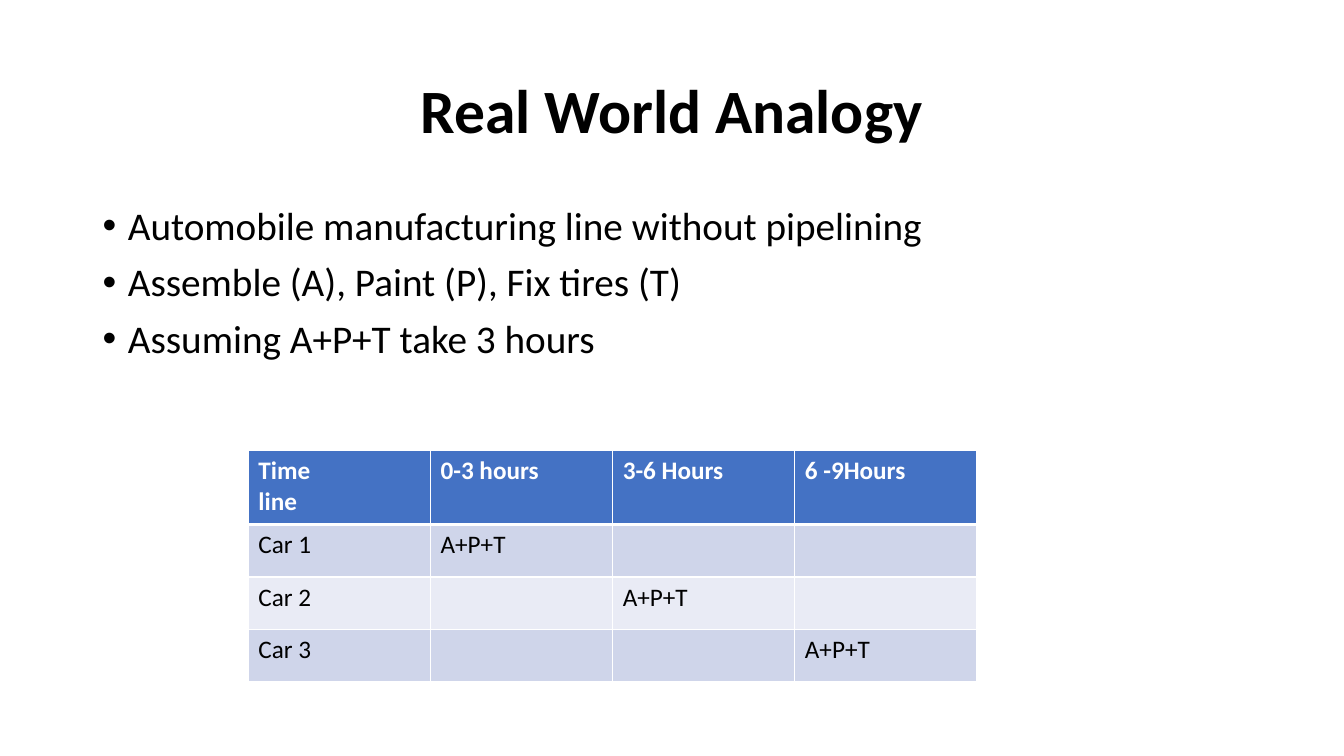
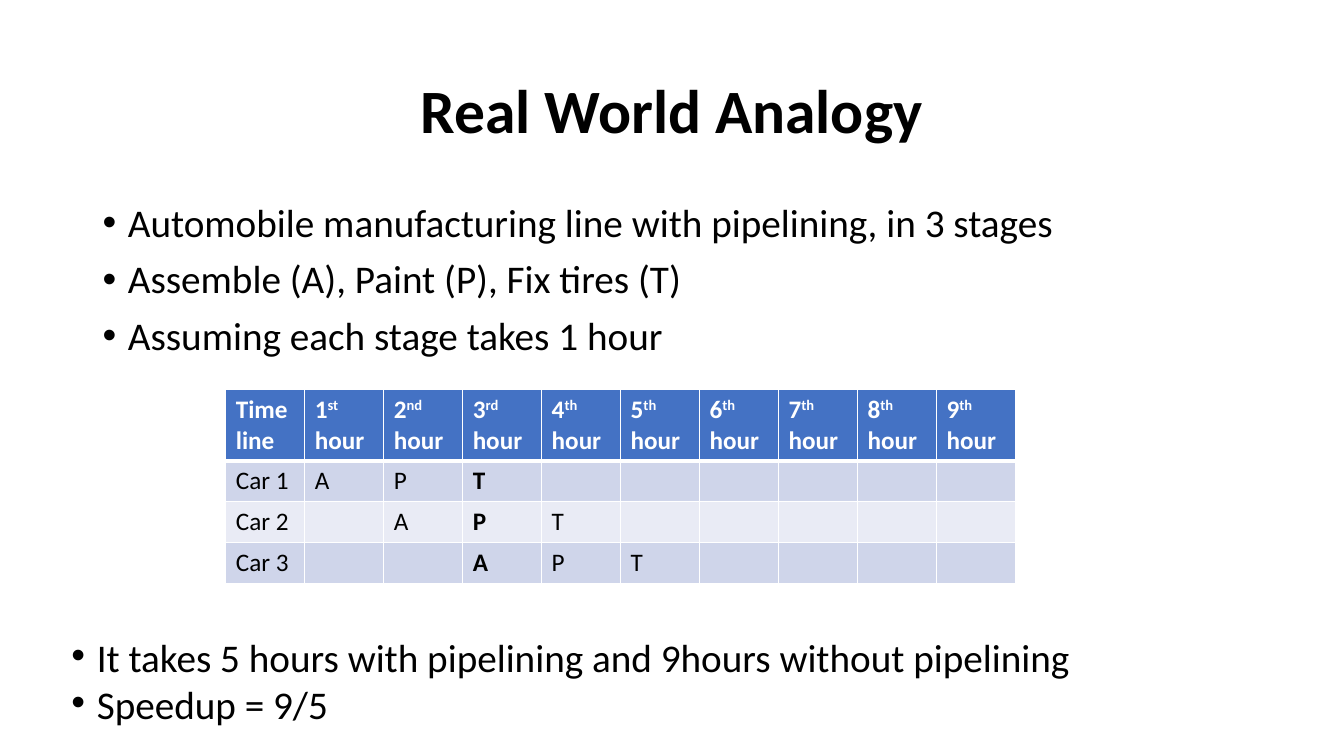
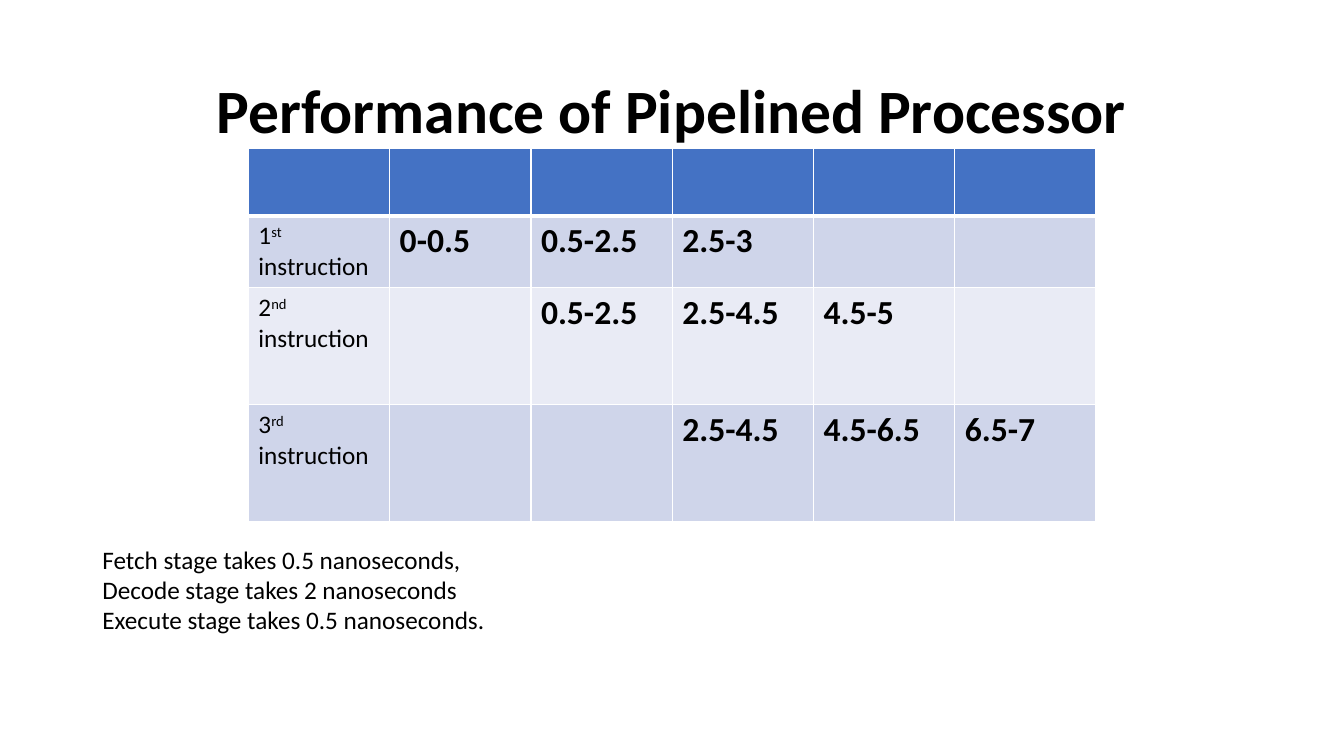
"""Build three slides that explain pipelining with timetables."""
from dataclasses import dataclass

from lxml import etree
from pptx import Presentation
from pptx import util as u
from pptx.dml.color import RGBColor
from pptx.enum import text
from pptx.oxml import ns


@dataclass(frozen=True)
class Theme:
    font: str = "Calibri"
    ink: str = "000000"
    paper: str = "FFFFFF"
    header: str = "4472C4"
    bands: tuple[str, str] = ("CFD5EA", "E9EBF5")
    title_size: int = 44
    list_size: int = 28
    strong_size: int = 24
    table_size: int = 18
    thin: int = 1
    thick: int = 3


@dataclass(frozen=True)
class Box:
    left: float
    top: float
    width: float
    height: float

    def lengths(self) -> tuple[u.Cm, u.Cm, u.Cm, u.Cm]:
        return u.Cm(self.left), u.Cm(self.top), u.Cm(self.width), u.Cm(self.height)


@dataclass(frozen=True)
class Timetable:
    left: float
    top: float
    column_width: float
    row_heights: tuple[float, ...]
    header: tuple[str, ...]
    rows: tuple[tuple[str, ...], ...]
    strong_columns: tuple[int, ...] = ()
    strong_size: int = 18


THEME = Theme()
TITLE_BOX = Box(2.33, 1.01, 29.21, 3.68)
TITLE_AND_LIST, TITLE_ONLY = 1, 5
ORDINALS = ("st", "nd", "rd") + ("th",) * 6


def ordinal(number: int, noun: str) -> str:
    """Return an ordinal label whose raised part stands between carets."""
    return f"{number}^{ORDINALS[number - 1]} ^{noun}"


def style_font(font, size: int, color: str, bold: bool = False) -> None:
    """Apply the shared typeface with a size, colour and weight."""
    font.name = THEME.font
    font.size = u.Pt(size)
    font.bold = bold
    font.color.rgb = RGBColor.from_string(color)


def add_title(slide, wording: str) -> None:
    """Place and format the title placeholder."""
    title = slide.shapes.title
    title.left, title.top, title.width, title.height = TITLE_BOX.lengths()
    frame = title.text_frame
    frame.text = wording
    frame.vertical_anchor = text.MSO_ANCHOR.MIDDLE
    heading = frame.paragraphs[0]
    heading.alignment = text.PP_ALIGN.CENTER
    heading.line_spacing = 0.9
    style_font(heading.runs[0].font, THEME.title_size, THEME.ink, True)


def fill_list(frame, points: tuple[str, ...], line_spacing: float) -> None:
    """Write bulleted points into a text frame."""
    frame.text = "\n".join(points)
    frame.word_wrap = True
    frame.auto_size = text.MSO_AUTO_SIZE.NONE
    for index, point in enumerate(frame.paragraphs):
        properties = point._p.get_or_add_pPr()
        properties.set("marL", str(u.Cm(0.64)))
        properties.set("indent", str(-u.Cm(0.64)))
        etree.SubElement(properties, ns.qn("a:buFont"), typeface="Arial")
        etree.SubElement(properties, ns.qn("a:buChar"), char="•")
        point.alignment = text.PP_ALIGN.LEFT
        point.line_spacing = line_spacing
        point.space_before = u.Pt(10 if index else 0)
        style_font(point.runs[0].font, THEME.list_size, THEME.ink)


def add_body(slide, box: Box, points: tuple[str, ...]) -> None:
    """Place the body placeholder and fill it with points."""
    body = slide.placeholders[1]
    body.left, body.top, body.width, body.height = box.lengths()
    fill_list(body.text_frame, points, 0.9)


def set_borders(cell, top: int, bottom: int) -> None:
    """Draw the four borders of a table cell."""
    properties = cell._tc.get_or_add_tcPr()
    widths = {"lnL": THEME.thin, "lnR": THEME.thin, "lnT": top, "lnB": bottom}
    for side, width in widths.items():
        line = etree.SubElement(properties, ns.qn(f"a:{side}"), w=str(u.Pt(width)))
        fill = etree.SubElement(line, ns.qn("a:solidFill"))
        etree.SubElement(fill, ns.qn("a:srgbClr"), val=THEME.paper)


def write_cell(cell, wording: str, size: int, color: str, bold: bool) -> None:
    """Write a cell, raising the parts that stand between carets."""
    lines = wording.split("\n")
    cell.text_frame.text = "\n" * (len(lines) - 1)
    for paragraph, line in zip(cell.text_frame.paragraphs, lines):
        for index, part in enumerate(line.split("^")):
            if part:
                run = paragraph.add_run()
                run.text = part
                style_font(run.font, size, color, bold)
                if index % 2:
                    run.font._element.set("baseline", "30000")


def add_timetable(slide, plan: Timetable) -> None:
    """Draw a banded timetable."""
    count = len(plan.header)
    box = Box(plan.left, plan.top, plan.column_width * count, sum(plan.row_heights))
    table = slide.shapes.add_table(len(plan.row_heights), count, *box.lengths()).table
    for column in table.columns:
        column.width = u.Cm(plan.column_width)
    for row, height in zip(table.rows, plan.row_heights):
        row.height = u.Cm(height)
    for r, entries in enumerate((plan.header, *plan.rows)):
        is_header = r == 0
        fill = THEME.header if is_header else THEME.bands[(r - 1) % 2]
        color = THEME.paper if is_header else THEME.ink
        for c in range(count):
            cell = table.cell(r, c)
            set_borders(cell, THEME.thick if r == 1 else THEME.thin,
                        THEME.thick if is_header else THEME.thin)
            cell.fill.solid()
            cell.fill.fore_color.rgb = RGBColor.from_string(fill)
            strong = not is_header and c in plan.strong_columns
            size = plan.strong_size if strong else THEME.table_size
            wording = entries[c] if c < len(entries) else ""
            write_cell(cell, wording, size, color, is_header or strong)


def add_conclusion(slide, box: Box, points: tuple[str, ...]) -> None:
    """Add the closing points below a timetable."""
    frame = slide.shapes.add_textbox(*box.lengths()).text_frame
    frame.margin_top = u.Cm(1.95)
    fill_list(frame, points, 0.7)


def add_stage_times(slide, box: Box, lines: tuple[str, ...]) -> None:
    """Add plain lines that state how long each stage takes."""
    frame = slide.shapes.add_textbox(*box.lengths()).text_frame
    frame.word_wrap = True
    frame.auto_size = text.MSO_AUTO_SIZE.SHAPE_TO_FIT_TEXT
    frame.text = "\n".join(lines)
    for line in frame.paragraphs:
        style_font(line.runs[0].font, THEME.table_size, THEME.ink)


def add_slide(deck, layout: int, title: str):
    """Add a slide with its title."""
    slide = deck.slides.add_slide(deck.slide_layouts[layout])
    add_title(slide, title)
    return slide


def build_sequential(deck) -> None:
    """Build the slide on manufacturing without pipelining."""
    slide = add_slide(deck, TITLE_AND_LIST, "Real World Analogy")
    add_body(slide, Box(2.33, 5.08, 29.21, 12.09), (
        "Automobile manufacturing line without pipelining",
        "Assemble (A), Paint (P), Fix tires (T)",
        "Assuming A+P+T take 3 hours",
    ))
    add_timetable(slide, Timetable(
        6.26, 11.35, 4.59, (1.87, 1.32, 1.32, 1.32),
        ("Time\nline", "0-3 hours", "3-6 Hours", "6 -9Hours"),
        (("Car 1", "A+P+T"), ("Car 2", "", "A+P+T"), ("Car 3", "", "", "A+P+T")),
    ))


def build_pipelined(deck) -> None:
    """Build the slide on manufacturing with pipelining."""
    slide = add_slide(deck, TITLE_AND_LIST, "Real World Analogy")
    add_body(slide, Box(2.33, 5.0, 29.21, 9.04), (
        "Automobile manufacturing line with pipelining, in 3 stages",
        "Assemble (A), Paint (P), Fix tires (T)",
        "Assuming each stage takes 1 hour",
    ))
    add_timetable(slide, Timetable(
        5.69, 9.81, 1.99, (1.79, 1.03, 1.03, 1.03),
        ("Time line", *(ordinal(n, "hour") for n in range(1, 10))),
        tuple((f"Car {n}", *("",) * (n - 1), "A", "P", "T") for n in range(1, 4)),
        strong_columns=(3,),
    ))
    add_conclusion(slide, Box(1.55, 14.33, 29.21, 4.24), (
        "It takes 5 hours with pipelining and 9hours without pipelining",
        "Speedup = 9/5",
    ))


def build_performance(deck) -> None:
    """Build the slide on processor performance."""
    slide = add_slide(deck, TITLE_ONLY, "Performance of Pipelined Processor")
    add_timetable(slide, Timetable(
        6.26, 3.74, 3.56, (1.7, 1.81, 2.95, 2.95),
        ("",) * 6,
        (
            (ordinal(1, "instruction"), "0-0.5", "0.5-2.5", "2.5-3"),
            ("2^nd^\ninstruction", "", "0.5-2.5", "2.5-4.5", "4.5-5"),
            (ordinal(3, "instruction"), "", "", "2.5-4.5", "4.5-6.5", "6.5-7"),
        ),
        strong_columns=(1, 2, 3, 4, 5),
        strong_size=THEME.strong_size,
    ))
    add_stage_times(slide, Box(2.33, 13.59, 16.92, 2.57), (
        "Fetch stage takes 0.5 nanoseconds,",
        "Decode stage takes 2 nanoseconds",
        "Execute stage takes 0.5 nanoseconds.",
    ))


def main() -> None:
    """Build and save the presentation."""
    deck = Presentation()
    deck.slide_width, deck.slide_height = u.Cm(33.87), u.Cm(19.05)
    build_sequential(deck)
    build_pipelined(deck)
    build_performance(deck)
    deck.save("out.pptx")


if __name__ == "__main__":
    main()
